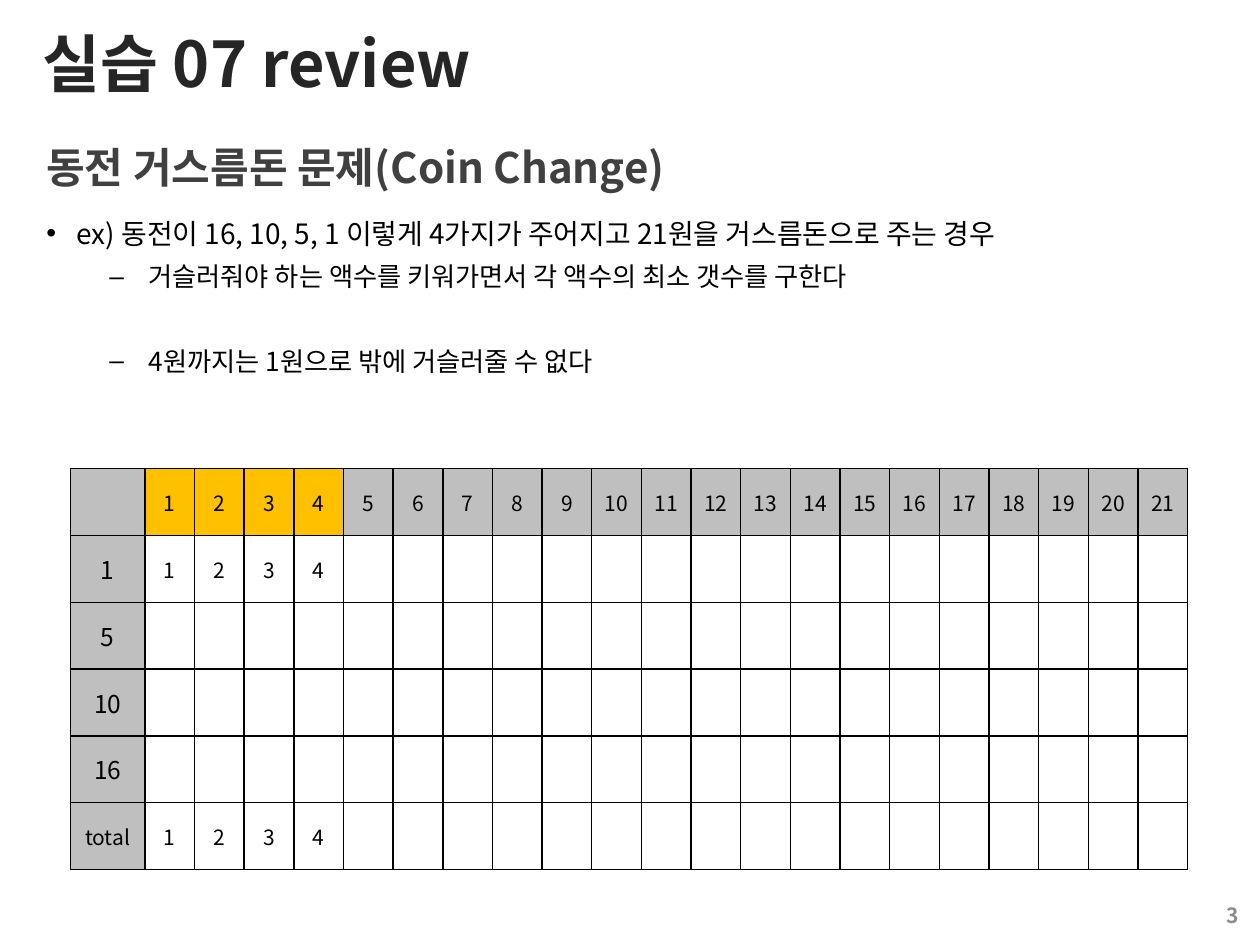
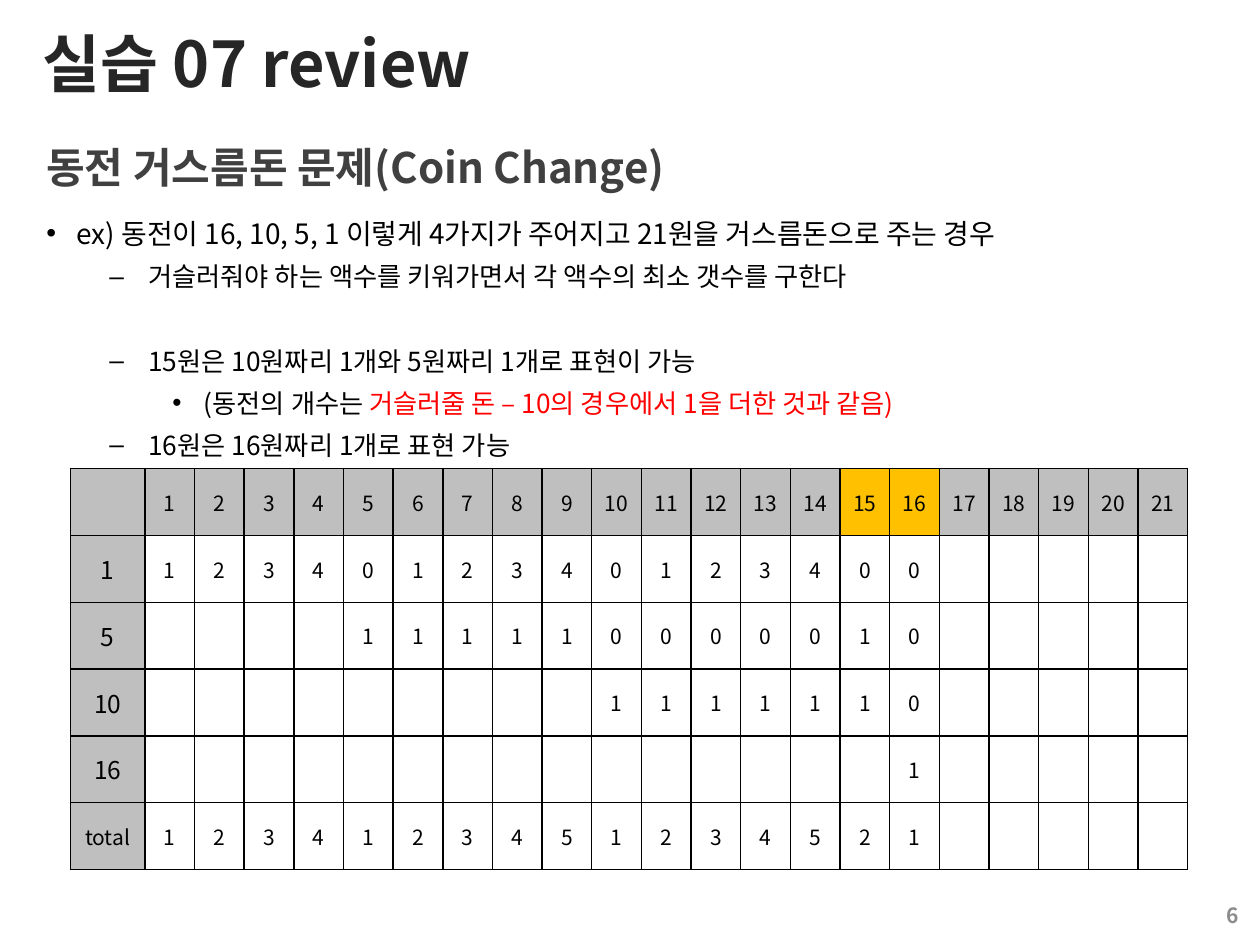
from lxml import etree
from pptx import Presentation
from pptx.dml.color import RGBColor
from pptx.enum.text import MSO_ANCHOR, PP_ALIGN
from pptx.oxml import parse_xml
from pptx.oxml.ns import nsdecls, qn
from pptx.util import Inches, Pt

FONT = "Noto Sans CJK KR"
BLACK, WHITE, RED = "000000", "FFFFFF", "FF0000"
DARK, SLATE, MUTED = "262626", "404040", "8C8C8C"
GRAY, GOLD = "BFBFBF", "FFC000"
LEFT, MID, RIGHT = PP_ALIGN.LEFT, PP_ALIGN.CENTER, PP_ALIGN.RIGHT
TOP, MIDDLE = MSO_ANCHOR.TOP, MSO_ANCHOR.MIDDLE

TITLE = "실습 07 review"
TOPIC = "동전 거스름돈 문제(Coin Change)"
LEVELS = [("•", 0.24, -0.24, 16), ("–", 0.81, -0.31, 15), ("•", 1.25, -0.25, 15)]
INTRO = [
    (0, 3, "ex) 동전이 16, 10, 5, 1 이렇게 4가지가 주어지고 21원을 거스름돈으로 주는 경우", ""),
    (1, 3, "거슬러줘야 하는 액수를 키워가면서 각 액수의 최소 갯수를 구한다", ""),
]
COINS = [1, 5, 10, 16]
LAST = 21
HEAD_W = 0.59
COL_W = (8.87 - HEAD_W) / LAST
ROW_H = 0.53

SLIDES = [
    ("3", 4, range(1, 5), [
        (1, 27, "4원까지는 1원으로 밖에 거슬러줄 수 없다", ""),
    ]),
    ("6", 16, range(15, 17), [
        (1, 27, "15원은 10원짜리 1개와 5원짜리 1개로 표현이 가능", ""),
        (2, 3, "(동전의 개수는 ", "거슬러줄 돈 – 10의 경우에서 1을 더한 것과 같음)"),
        (1, 3, "16원은 16원짜리 1개로 표현 가능", ""),
    ]),
]


def hue(code):
    return RGBColor.from_string(code)


def write(frame, text, size=12, color=BLACK, bold=False, align=LEFT,
          level=None, before=0, tail=""):
    para = frame.paragraphs[-1]
    if para.runs:
        para = frame.add_paragraph()
    para.alignment = align
    if level is not None:
        mark, left, hang, size = LEVELS[level]
        para.level = level
        para.space_before, para.space_after = Pt(before), Pt(3)
        props = para._p.get_or_add_pPr()
        props.set("marL", str(Inches(left)))
        props.set("indent", str(Inches(hang)))
        etree.SubElement(props, qn("a:buFont")).set("typeface", "Arial")
        etree.SubElement(props, qn("a:buChar")).set("char", mark)
    for part, shade in ((text, color), (tail, RED)):
        if part:
            run = para.add_run()
            run.text = part
            font = run.font
            font.name, font.size, font.bold = FONT, Pt(size), bold
            font.color.rgb = hue(shade)
            etree.SubElement(font._element, qn("a:ea")).set("typeface", FONT)


deck = Presentation()
deck.slide_width, deck.slide_height = Inches(10), Inches(7.5)

for number, done, marked, points in SLIDES:
    slide = deck.slides.add_slide(deck.slide_layouts[6])

    frames = []
    for box, anchor in (
        ((0.24, 0.01, 9.51, 0.97), MIDDLE),
        ((0.27, 1.07, 9.46, 0.5), MIDDLE),
        ((0.27, 1.67, 9.46, 5.49), TOP),
        ((7.6, 7.06, 2.33, 0.4), MIDDLE),
    ):
        frame = slide.shapes.add_textbox(*map(Inches, box)).text_frame
        frame.word_wrap = True
        frame.vertical_anchor = anchor
        frames.append(frame)
    title, topic, body, footer = frames

    write(title, TITLE, size=36, color=DARK, bold=True)
    write(topic, TOPIC, size=24, color=SLATE, bold=True)
    for level, before, text, tail in INTRO + points:
        write(body, text, level=level, before=before, tail=tail)
    write(footer, number, color=MUTED, bold=True, align=RIGHT)

    rows = [[""] + list(range(1, LAST + 1))]
    rows += [[coin] + [""] * LAST for coin in COINS]
    rows.append(["total"] + [""] * LAST)
    for amount in range(1, done + 1):
        rest, total = amount, 0
        for row in reversed(rows[1:-1]):
            if amount >= row[0]:
                row[amount], rest = divmod(rest, row[0])
                total += row[amount]
        rows[-1][amount] = total

    table = slide.shapes.add_table(
        len(rows), LAST + 1, Inches(0.56), Inches(3.72),
        Inches(8.87), Inches(ROW_H * len(rows))).table
    table.first_row = table.horz_banding = False
    for c, column in enumerate(table.columns):
        column.width = Inches(COL_W if c else HEAD_W)

    for r, row in enumerate(rows):
        table.rows[r].height = Inches(ROW_H)
        for c, value in enumerate(row):
            cell = table.cell(r, c)
            cell.vertical_anchor = MIDDLE
            cell.margin_left = cell.margin_right = Inches(0.04)
            props = cell._tc.get_or_add_tcPr()
            for side in "LRTB":
                props.append(parse_xml(
                    f'<a:ln{side} {nsdecls("a")} w="{Pt(1)}"><a:solidFill>'
                    f'<a:srgbClr val="{BLACK}"/></a:solidFill></a:ln{side}>'))
            fill = WHITE if r and c else GRAY
            if r == 0 and c in marked:
                fill = GOLD
            cell.fill.solid()
            cell.fill.fore_color.rgb = hue(fill)
            size = 14 if c == 0 and value in COINS else 12
            write(cell.text_frame, str(value), size=size, align=MID)

deck.save("out.pptx")
